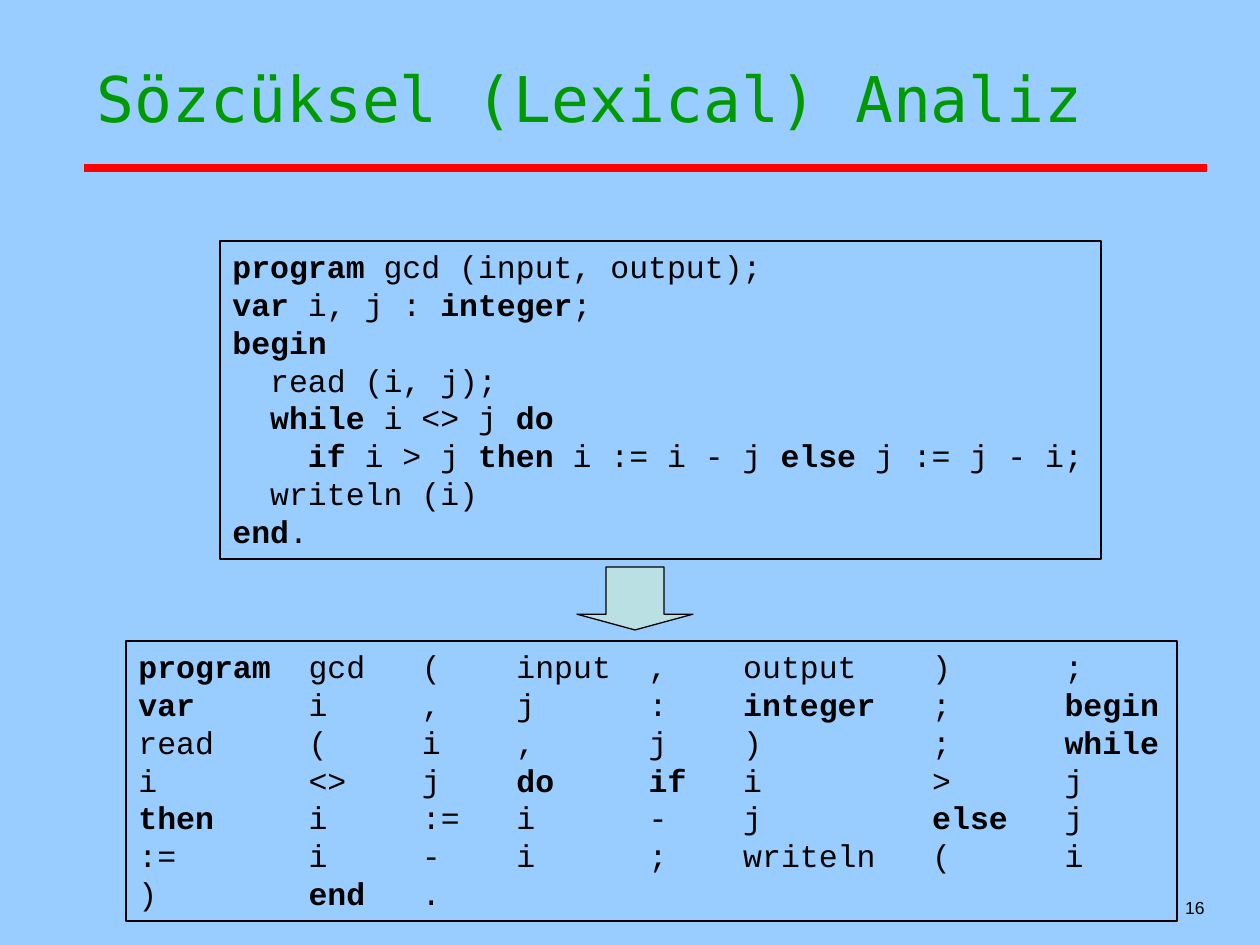
"""Build the slide on lexical analysis of a small Pascal program."""
import pptx
import pptx.util
import pptx.dml.color
import pptx.enum.shapes
import pptx.enum.text
import pptx.oxml.ns
import lxml.etree

PX = 914400 / 126
COLORS = {"back": "99CCFF", "title": "009900", "rule": "FF0000",
          "ink": "000000", "arrow": "BBE0E3"}
CODE = [
    "*program* gcd (input, output);",
    "*var* i, j : *integer*;",
    "*begin*",
    "\u00a0 read (i, j);",
    "\u00a0 *while* i <> j *do*",
    "\u00a0\u00a0\u00a0 *if* i > j *then* i := i - j *else* j := j - i;",
    "\u00a0 writeln (i)",
    "*end*.",
]
TOKENS = [
    "*program* gcd ( input , output ) ;",
    "*var* i , j : *integer* ; *begin*",
    "read ( i , j ) ; *while*",
    "i <> j *do* *if* i > j",
    "*then* i := i - j *else* j",
    ":= i - i ; writeln ( i",
    ") *end* .",
]
TOKEN_COLUMNS = [9, 15, 20, 27, 32, 42, 49]
CHAR_WIDTH = pptx.util.Pt(10.8)


def box(px):
    return [round(v * PX) for v in px]


def style(font, name, size, color):
    font.name = name
    font.size = pptx.util.Pt(size)
    font.color.rgb = pptx.dml.color.RGBColor.from_string(COLORS[color])


prs = pptx.Presentation()
prs.slide_width, prs.slide_height = box((1260, 945))
s = prs.slides.add_slide(prs.slide_layouts[5])
s.background.fill.solid()
s.background.fill.fore_color.rgb = pptx.dml.color.RGBColor.from_string(COLORS["back"])

for x1, x2, y, color, width in [(84, 84, 210, "ink", 0.75), (84, 1207, 168, "rule", 4.5)]:
    c = s.shapes.add_connector(pptx.enum.shapes.MSO_CONNECTOR.STRAIGHT, *box((x1, y, x2, y)))
    c.line.color.rgb = pptx.dml.color.RGBColor.from_string(COLORS[color])
    c.line.width = pptx.util.Pt(width)
    lxml.etree.SubElement(c._element.spPr, pptx.oxml.ns.qn("a:effectLst"))

title = s.shapes.title
title.left, title.top, title.width, title.height = box((84, 53, 1124, 157))
tf = title.text_frame
tf.text = "Sözcüksel (Lexical) Analiz"
tf.vertical_anchor = pptx.enum.text.MSO_ANCHOR.TOP
p = tf.paragraphs[0]
p.alignment = pptx.enum.text.PP_ALIGN.LEFT
style(p.runs[0].font, "DejaVu Sans Mono", 36, "title")

tf = s.shapes.add_textbox(*box((955, 861, 262, 63))).text_frame
tf.word_wrap = True
tf.text = "16"
tf.vertical_anchor = pptx.enum.text.MSO_ANCHOR.BOTTOM
p = tf.paragraphs[0]
p.alignment = pptx.enum.text.PP_ALIGN.RIGHT
style(p.runs[0].font, "Arial", 10, "ink")

token_rows = ["\t".join(row.split(" ")) for row in TOKENS]
for area, lines, columns in [((220, 241, 881, 318), CODE, []),
                             ((126, 641, 1051, 280), token_rows, TOKEN_COLUMNS)]:
    sp = s.shapes.add_shape(pptx.enum.shapes.MSO_SHAPE.RECTANGLE, *box(area))
    sp.shadow.inherit = False
    sp.fill.background()
    sp.line.color.rgb = pptx.dml.color.RGBColor.from_string(COLORS["ink"])
    sp.line.width = pptx.util.Pt(0.75)
    tf = sp.text_frame
    tf.word_wrap = True
    tf.vertical_anchor = pptx.enum.text.MSO_ANCHOR.TOP
    p = tf.paragraphs[0]
    p.alignment = pptx.enum.text.PP_ALIGN.LEFT
    if columns:
        tabs = lxml.etree.SubElement(p._p.get_or_add_pPr(), pptx.oxml.ns.qn("a:tabLst"))
        for column in columns:
            lxml.etree.SubElement(tabs, pptx.oxml.ns.qn("a:tab"),
                                  pos=str(column * CHAR_WIDTH), algn="l")
    for row, line in enumerate(lines):
        if row:
            p.add_line_break()
        for i, part in enumerate(line.split("*")):
            if part:
                r = p.add_run()
                r.text = part
                r.font.bold = i % 2 == 1
                style(r.font, "Courier New", 18, "ink")

sp = s.shapes.add_shape(pptx.enum.shapes.MSO_SHAPE.DOWN_ARROW, *box((577, 567, 116, 63)))
sp.adjustments[0] = 0.5
sp.adjustments[1] = 0.25
sp.shadow.inherit = False
sp.fill.solid()
sp.fill.fore_color.rgb = pptx.dml.color.RGBColor.from_string(COLORS["arrow"])
sp.line.color.rgb = pptx.dml.color.RGBColor.from_string(COLORS["ink"])
sp.line.width = pptx.util.Pt(0.75)

prs.save("out.pptx")
